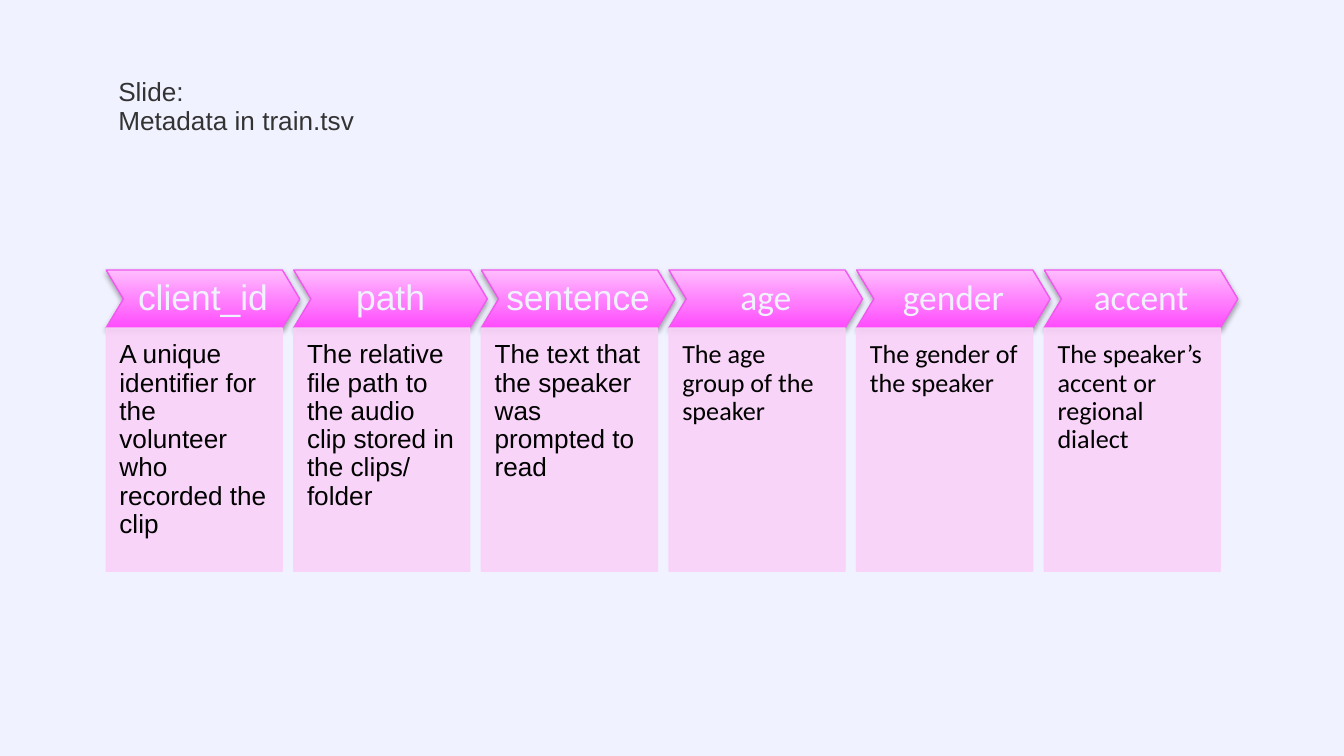
from copy import deepcopy
from dataclasses import dataclass

from lxml import etree
from pptx import Presentation
from pptx import util as u
from pptx.dml.color import RGBColor
from pptx.enum import shapes, text
from pptx.oxml.ns import qn


@dataclass(frozen=True)
class Theme:
    background: str = "F1F2FF"
    title: str = "333333"
    header_text: str = "F1F2FF"
    header_bottom: str = "FF4BFD"
    header_top: str = "FFBDFE"
    header_line: str = "F159EF"
    card: str = "FAD1F9"
    card_text: str = "000000"
    shadow: str = "000000"
    header_size: int = 19
    body_size: int = 14


theme = Theme()


def write_text(shape, content, *, font, size, color, margins,
               align=text.PP_ALIGN.LEFT, anchor=text.MSO_ANCHOR.TOP):
    """Fill a shape with one paragraph; margins are left, top, right, bottom in inches."""
    frame = shape.text_frame
    frame.word_wrap = True
    frame.auto_size = text.MSO_AUTO_SIZE.NONE
    frame.vertical_anchor = anchor
    (frame.margin_left, frame.margin_top,
     frame.margin_right, frame.margin_bottom) = map(u.Inches, margins)
    paragraph = frame.paragraphs[0]
    paragraph.text = content
    paragraph.alignment = align
    paragraph.line_spacing = 0.9
    for run in paragraph.runs:
        run.font.name = font
        run.font.size = u.Pt(size)
        run.font.color.rgb = RGBColor.from_string(color)
    # Line breaks need the run's size too, or they stretch the line
    for line_break in paragraph._p.findall(qn("a:br")):
        line_break.insert(0, deepcopy(paragraph.runs[0]._r.rPr))


def add_alpha(element, percent):
    """Make every RGB colour inside the element partly transparent."""
    for color in element.iter(qn("a:srgbClr")):
        etree.SubElement(color, qn("a:alpha"), val=str(percent * 1000))


presentation = Presentation()
presentation.slide_width = u.Inches(10)
presentation.slide_height = u.Inches(10) * 9 // 16
slide = presentation.slides.add_slide(presentation.slide_layouts[5])
slide.background.fill.solid()
slide.background.fill.fore_color.rgb = RGBColor.from_string(theme.background)

title = slide.shapes.title
title.left, title.top = u.Inches(0.78), u.Inches(0.49)
title.width, title.height = u.Inches(8.44), u.Inches(0.63)
write_text(title, "Slide: \vMetadata in train.tsv", font="Arial",
           size=theme.body_size, color=theme.title, margins=(0.1, 0.1, 0.1, 0.1))

fields = [
    ("client_id", "A unique identifier for the volunteer who recorded the clip", "Arial"),
    ("path", "The relative file path to the audio clip stored in the clips/ folder", "Arial"),
    ("sentence", "The text that the speaker was prompted to read", "Arial"),
    ("age", "The age group of the speaker", "Calibri"),
    ("gender", "The gender of the speaker", "Calibri"),
    ("accent", "The speaker’s accent or regional dialect", "Calibri"),
]
first_left, last_left = 0.79, 7.77
pitch = (last_left - first_left) / (len(fields) - 1)
header_top, header_height = u.Inches(2.01), u.Inches(0.43)
card_top = header_top + header_height
card_width, card_height = u.Inches(1.31), u.Inches(1.81)
notch = u.Inches(0.13)
field_group = slide.shapes.add_group_shape()

for index, (name, description, font) in enumerate(fields):
    left = u.Inches(first_left + index * pitch)

    header = field_group.shapes.add_shape(
        shapes.MSO_SHAPE.CHEVRON, left, header_top, u.Inches(1.44), header_height)
    header.adjustments[0] = 0.3
    header.fill.gradient()
    header.fill.gradient_angle = 90
    for stop, color in zip(header.fill.gradient_stops,
                           (theme.header_bottom, theme.header_top)):
        stop.color.rgb = RGBColor.from_string(color)
    header.line.color.rgb = RGBColor.from_string(theme.header_line)
    header.line.width = u.Pt(0.75)
    header.shadow.inherit = False
    shadow = etree.SubElement(
        header._element.spPr.find(qn("a:effectLst")), qn("a:outerShdw"),
        blurRad=str(u.Pt(3.1)), dist=str(u.Pt(1.8)), dir="5400000", rotWithShape="0")
    etree.SubElement(shadow, qn("a:srgbClr"), val=theme.shadow)
    add_alpha(shadow, 35)

    header_label = field_group.shapes.add_textbox(
        left + notch, header_top, card_width - notch, header_height)
    write_text(header_label, name, font=font, size=theme.header_size,
               color=theme.header_text, margins=(0.05, 0.05, 0.05, 0.05),
               align=text.PP_ALIGN.CENTER, anchor=text.MSO_ANCHOR.MIDDLE)

    card = field_group.shapes.add_shape(
        shapes.MSO_SHAPE.RECTANGLE, left, card_top, card_width, card_height)
    card.shadow.inherit = False
    card.fill.solid()
    card.fill.fore_color.rgb = RGBColor.from_string(theme.card)
    card.line.color.rgb = RGBColor.from_string(theme.card)
    card.line.width = u.Pt(0.75)
    add_alpha(card._element.spPr, 90)

    card_label = field_group.shapes.add_textbox(left, card_top, card_width, card_height)
    write_text(card_label, description, font=font, size=theme.body_size,
               color=theme.card_text, margins=(0.1, 0.1, 0.1, 0.21))

presentation.save("out.pptx")
